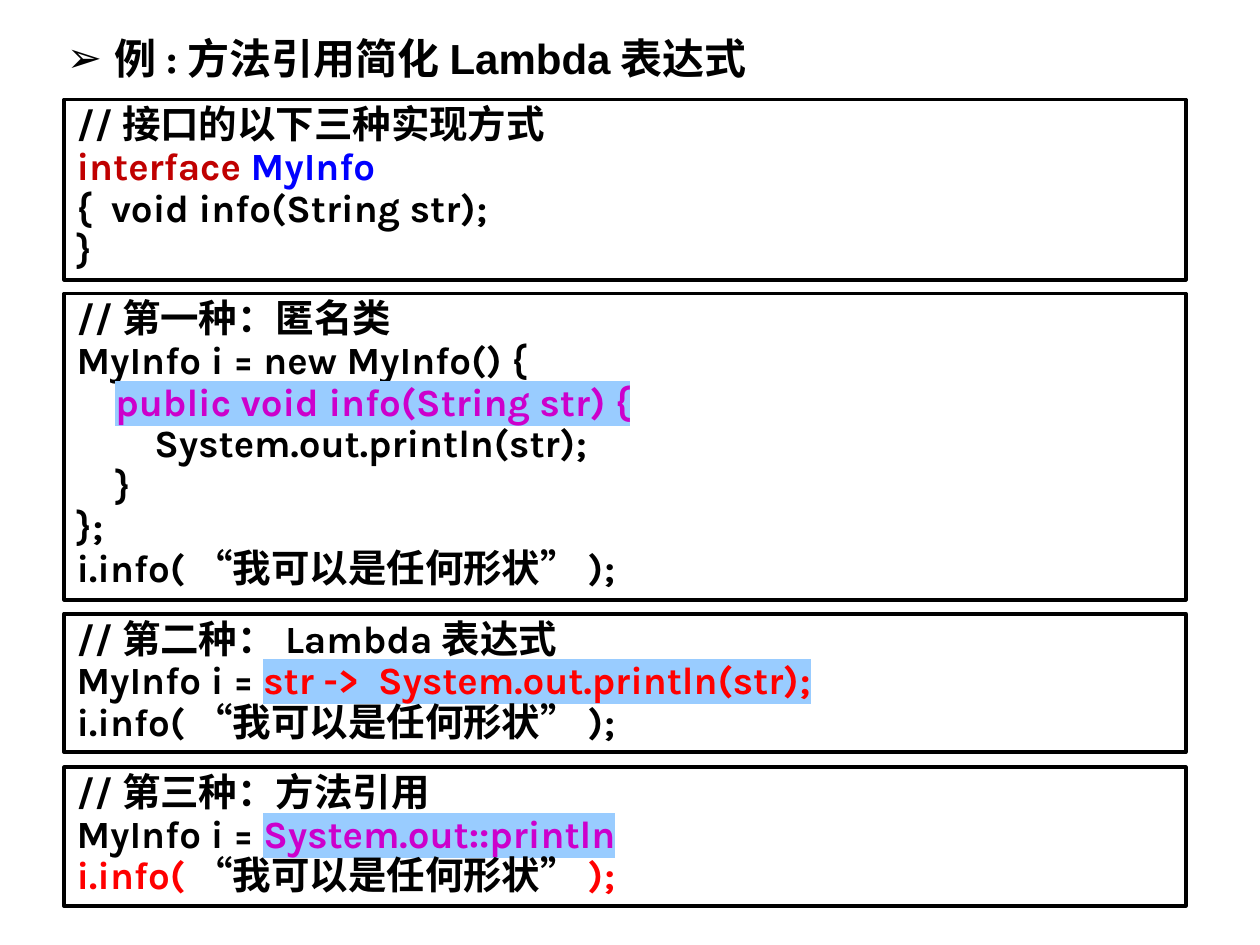
from lxml import etree
from pptx import Presentation
from pptx import util as u
from pptx.dml import color
from pptx.enum import shapes, text
from pptx.oxml import ns

Pt = u.Pt
COLORS = {
    "ink": "000000",
    "keyword": "C00000",
    "type": "0000FF",
    "method": "CC00CC",
    "accent": "FF0000",
    "marker": "99CCFF",
}
CODE_FONT = "Karla"
CALL = [("i.info(“我可以是任何形状”);",)]
PANELS = [
    (56.88, 102.96, [
        [("//接口的以下三种实现方式",)],
        [("interface", "keyword"), (" MyInfo", "type")],
        [("{  void info(String str);",)],
        [("}",)],
    ]),
    (167.76, 174.96, [
        [("//第一种：匿名类",)],
        [("MyInfo i = new MyInfo() {",)],
        [("    ", "method"), ("public void info(String str) {", "method", "marker")],
        [("        System.out.println(str);",)],
        [("    }",)],
        [("};",)],
        CALL,
    ]),
    (350.64, 79.2, [
        [("//第二种：Lambda表达式",)],
        [("MyInfo i = ",), ("str ->  System.out.println(str);", "accent", "marker")],
        CALL,
    ]),
    (438.48, 79.2, [
        [("//第三种：方法引用",)],
        [("MyInfo i = ",), ("System.out::println", "method", "marker")],
        [("i.info(", "accent"), ("“我可以是任何形状”",), (");", "accent")],
    ]),
]


def rgb(name):
    """Return the named colour."""
    return color.RGBColor.from_string(COLORS[name])


def add_run(paragraph, words, ink="ink", marker=None, size=22, face=CODE_FONT):
    """Append a bold run, optionally highlighted."""
    run = paragraph.add_run()
    run.text = words
    font = run.font
    font.size, font.bold = Pt(size), True
    font.color.rgb = rgb(ink)
    if marker:
        highlight = etree.SubElement(run._r.get_or_add_rPr(), ns.qn("a:highlight"))
        etree.SubElement(highlight, ns.qn("a:srgbClr"), val=COLORS[marker])
    font.name = face


def add_heading(slide, left, top, width, height):
    """Place the bulleted title in the given box."""
    heading = slide.shapes.title
    heading.left, heading.top = Pt(left), Pt(top)
    heading.width, heading.height = Pt(width), Pt(height)
    frame = heading.text_frame
    frame.word_wrap = True
    frame.auto_size = text.MSO_AUTO_SIZE.SHAPE_TO_FIT_TEXT
    frame.vertical_anchor = text.MSO_ANCHOR.TOP
    paragraph = frame.paragraphs[0]
    paragraph.alignment = text.PP_ALIGN.LEFT
    properties = paragraph._p.get_or_add_pPr()
    properties.set("marL", str(Pt(27)))
    properties.set("indent", str(-Pt(27)))
    etree.SubElement(properties, ns.qn("a:buFont"), typeface="Arial")
    etree.SubElement(properties, ns.qn("a:buChar"), char="➢")
    add_run(paragraph, "例:方法引用", size=24)
    add_run(paragraph, "简化Lambda表达式", size=24, face="Arial")


def add_code_panel(slide, left, top, width, height, lines):
    """Place a framed code listing in the given box."""
    panel = slide.shapes.add_shape(
        shapes.MSO_SHAPE.RECTANGLE, Pt(left), Pt(top), Pt(width), Pt(height))
    panel.shadow.inherit = False
    panel.fill.background()
    panel.line.color.rgb = rgb("ink")
    panel.line.width = Pt(2.25)
    frame = panel.text_frame
    frame.word_wrap = True
    frame.auto_size = text.MSO_AUTO_SIZE.SHAPE_TO_FIT_TEXT
    frame.vertical_anchor = text.MSO_ANCHOR.TOP
    for index, line in enumerate(lines):
        paragraph = frame.add_paragraph() if index else frame.paragraphs[0]
        paragraph.alignment = text.PP_ALIGN.LEFT
        paragraph.line_spacing = 0.9
        for part in line:
            add_run(paragraph, *part)


def main():
    """Build and save the slide."""
    deck = Presentation()
    deck.slide_width, deck.slide_height = Pt(720), Pt(540)
    slide = deck.slides.add_slide(deck.slide_layouts.get_by_name("Title Only"))
    add_heading(slide, 30.96, 15.12, 674.64, 36)
    for top, height, lines in PANELS:
        add_code_panel(slide, 36.72, top, 640.8, height, lines)
    deck.save("out.pptx")


if __name__ == "__main__":
    main()
